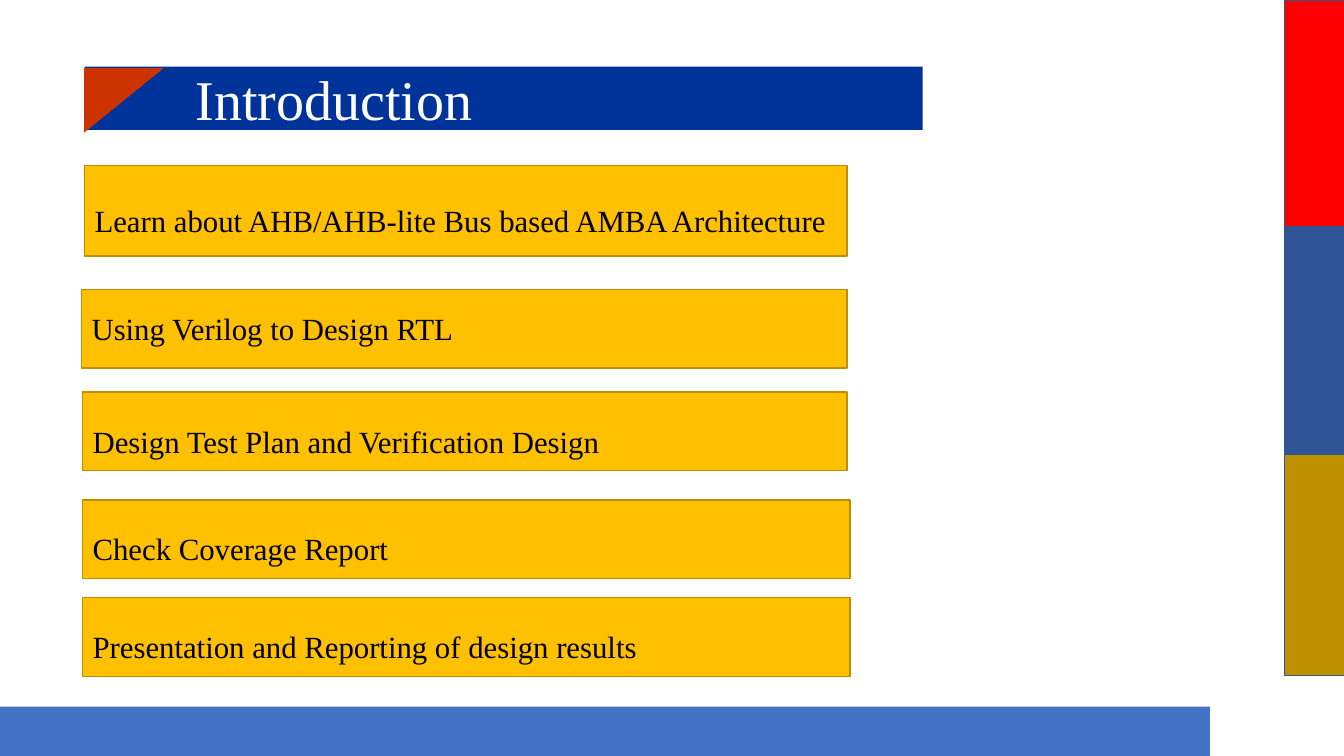
"""Builds the Introduction slide with its five project steps."""
from pptx import Presentation
from pptx.dml.color import RGBColor
from pptx.enum import shapes, text
from pptx.util import Inches, Pt


def style_text(frame, size, color):
    frame.word_wrap = True
    frame.auto_size = text.MSO_AUTO_SIZE.NONE
    frame.vertical_anchor = text.MSO_ANCHOR.MIDDLE
    paragraph = frame.paragraphs[0]
    paragraph.alignment = text.PP_ALIGN.LEFT
    font = paragraph.runs[0].font
    font.name = "Times New Roman"
    font.size = Pt(size)
    font.color.rgb = RGBColor.from_string(color)


def add_block(kind, box, fill, line=None):
    block = slide.shapes.add_shape(kind, *[Inches(length) for length in box])
    block.shadow.inherit = False
    block.fill.solid()
    block.fill.fore_color.rgb = RGBColor.from_string(fill)
    if line:
        block.line.color.rgb = RGBColor.from_string(line)
        block.line.width = Pt(1)
    else:
        block.line.fill.background()
    return block


deck = Presentation()
deck.slide_width, deck.slide_height = Inches(13.33), Inches(7.5)
slide = deck.slides.add_slide(deck.slide_layouts[5])
RECTANGLE = shapes.MSO_SHAPE.RECTANGLE

heading = slide.shapes.title
heading.left, heading.top = Inches(0.84), Inches(0.66)
heading.width, heading.height = Inches(8.31), Inches(0.63)
heading.fill.solid()
heading.fill.fore_color.rgb = RGBColor.from_string("003399")
heading.text_frame.text = "Introduction"
heading.text_frame.margin_left = Inches(1.1)
heading.text_frame.paragraphs[0].line_spacing = 1.0
style_text(heading.text_frame, 40, "FFFFFF")

corner = add_block(shapes.MSO_SHAPE.RIGHT_TRIANGLE, (0.91, 0.6, 0.64, 0.79), "CC3300")
corner.rotation = 90

steps = [
    ("Learn about AHB/AHB-lite Bus based AMBA Architecture", 0.84, 1.64, 7.56, 0.9, 1.5),
    ("Using Verilog to Design RTL", 0.81, 2.87, 7.59, 0.78, 1.0),
    ("Design Test Plan and Verification Design", 0.82, 3.89, 7.58, 0.78, 1.5),
    ("Check Coverage Report", 0.82, 4.96, 7.61, 0.78, 1.5),
    ("Presentation and Reporting of design results", 0.82, 5.93, 7.61, 0.78, 1.5),
]
for wording, left, top, width, height, spacing in steps:
    step = add_block(RECTANGLE, (left, top, width, height), "FFC000", "BD8E00")
    step.text_frame.text = wording
    step.text_frame.paragraphs[0].line_spacing = spacing
    style_text(step.text_frame, 22, "000000")

add_block(RECTANGLE, (0, 7.01, 12, 0.49), "4472C4")
for top, height, color in [(0, 2.25, "FF0000"), (2.25, 2.25, "2F5597"), (4.51, 2.19, "BF9000")]:
    add_block(RECTANGLE, (12.74, top, 0.62, height), color, "325491")

deck.save("out.pptx")
